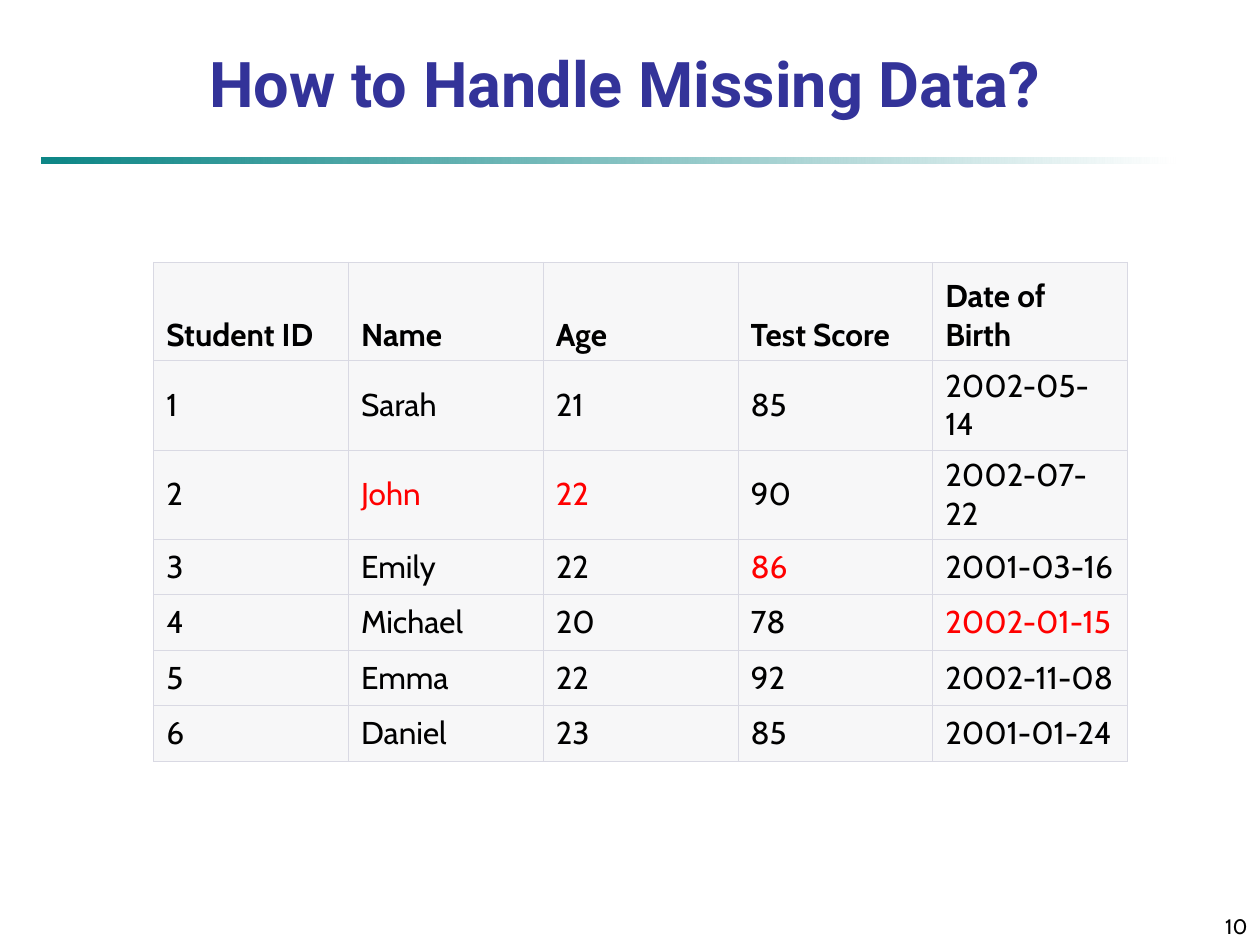
from dataclasses import dataclass

from lxml.etree import SubElement as Sub
from pptx import Presentation
from pptx.dml.color import RGBColor as Rgb
from pptx.enum.shapes import MSO_SHAPE as Kind
from pptx.enum.text import MSO_ANCHOR as Anchor, PP_ALIGN as Align
from pptx.oxml.ns import qn
from pptx.util import Inches, Pt


@dataclass(frozen=True)
class Theme:
    head: str = "Roboto"
    body: str = "Cabin"
    navy: str = "333399"
    teal: str = "008080"
    white: str = "FFFFFF"
    black: str = "000000"
    red: str = "FF0000"
    cell: str = "F7F7F8"
    edge: str = "D9D9E3"
    big: int = 36
    mid: int = 18
    small: int = 12
    thin: float = 0.34
    thick: float = 0.45


THEME = Theme()

HEADS = ["Student ID", "Name", "Age", "Test Score", "Date of Birth"]
ROWS = [
    ["1", "Sarah", "21", "85", "2002-05-14"],
    ["2", "John", "22", "90", "2002-07-22"],
    ["3", "Emily", "22", "86", "2001-03-16"],
    ["4", "Michael", "20", "78", "2002-01-15"],
    ["5", "Emma", "22", "92", "2002-11-08"],
    ["6", "Daniel", "23", "85", "2001-01-24"],
]
MARKED = {(2, 1), (2, 2), (3, 3), (4, 4)}


def set_text(frame, text, font, size, color, bold=False, align=Align.LEFT):
    frame.text = text
    para = frame.paragraphs[0]
    para.alignment = align
    face = para.runs[0].font
    face.name, face.size, face.bold = font, Pt(size), bold
    face.color.rgb = Rgb.from_string(color)


def set_edges(cell, widths):
    props = cell._tc.get_or_add_tcPr()
    for side, width in zip("LRTB", widths):
        line = Sub(props, qn(f"a:ln{side}"), w=str(int(Pt(width))))
        fill = Sub(line, qn("a:solidFill"))
        Sub(fill, qn("a:srgbClr"), val=THEME.edge)


def add_title(slide, box):
    title = slide.shapes.title
    title.left, title.top, title.width, title.height = map(Inches, box)
    frame = title.text_frame
    frame.word_wrap = True
    frame.vertical_anchor = Anchor.BOTTOM
    set_text(frame, "How to Handle Missing Data?", THEME.head, THEME.big,
             THEME.navy, True, Align.CENTER)


def add_rule(slide, box):
    bar = slide.shapes.add_shape(Kind.RECTANGLE, *map(Inches, box))
    bar.shadow.inherit = False
    bar.line.fill.background()
    bar.fill.gradient()
    bar.fill.gradient_angle = 0
    for stop, color in zip(bar.fill.gradient_stops, (THEME.teal, THEME.white)):
        stop.color.rgb = Rgb.from_string(color)
    first = next(bar.element.iter(qn("a:srgbClr")))
    Sub(first, qn("a:alpha"), val="95000")


def add_grid(slide, box):
    data = [HEADS] + ROWS
    last = len(data) - 1
    frame = slide.shapes.add_table(len(data), len(HEADS), *map(Inches, box))
    table = frame.table
    table.first_row = table.horz_banding = False
    for col in table.columns:
        col.width = Inches(box[2] / len(HEADS))
    for r, row in enumerate(data):
        table.rows[r].height = Inches(0.44 if r else 0.78)
        top = THEME.thick if r else THEME.thin
        low = THEME.thin if r == last else THEME.thick
        for c, text in enumerate(row):
            cell = table.cell(r, c)
            set_edges(cell, (THEME.thin, THEME.thin, top, low))
            cell.fill.solid()
            cell.fill.fore_color.rgb = Rgb.from_string(THEME.cell)
            cell.vertical_anchor = Anchor.MIDDLE if r else Anchor.BOTTOM
            color = THEME.red if (r, c) in MARKED else THEME.black
            set_text(cell.text_frame, text, THEME.body, THEME.mid, color, r == 0)


def add_number(slide, box):
    frame = slide.shapes.add_textbox(*map(Inches, box)).text_frame
    frame.word_wrap = True
    frame.vertical_anchor = Anchor.BOTTOM
    set_text(frame, "10", THEME.body, THEME.small, THEME.black,
             align=Align.RIGHT)


def main():
    deck = Presentation()
    deck.slide_width, deck.slide_height = Inches(10), Inches(7.5)
    slide = deck.slides.add_slide(deck.slide_layouts[5])
    add_rule(slide, (0.33, 1.25, 9, 0.05))
    add_title(slide, (0.17, 0.33, 9.58, 0.67))
    add_grid(slide, (1.22, 2.08, 7.73, 3.42))
    add_number(slide, (7.92, 7.08, 2.08, 0.42))
    deck.save("out.pptx")


if __name__ == "__main__":
    main()
